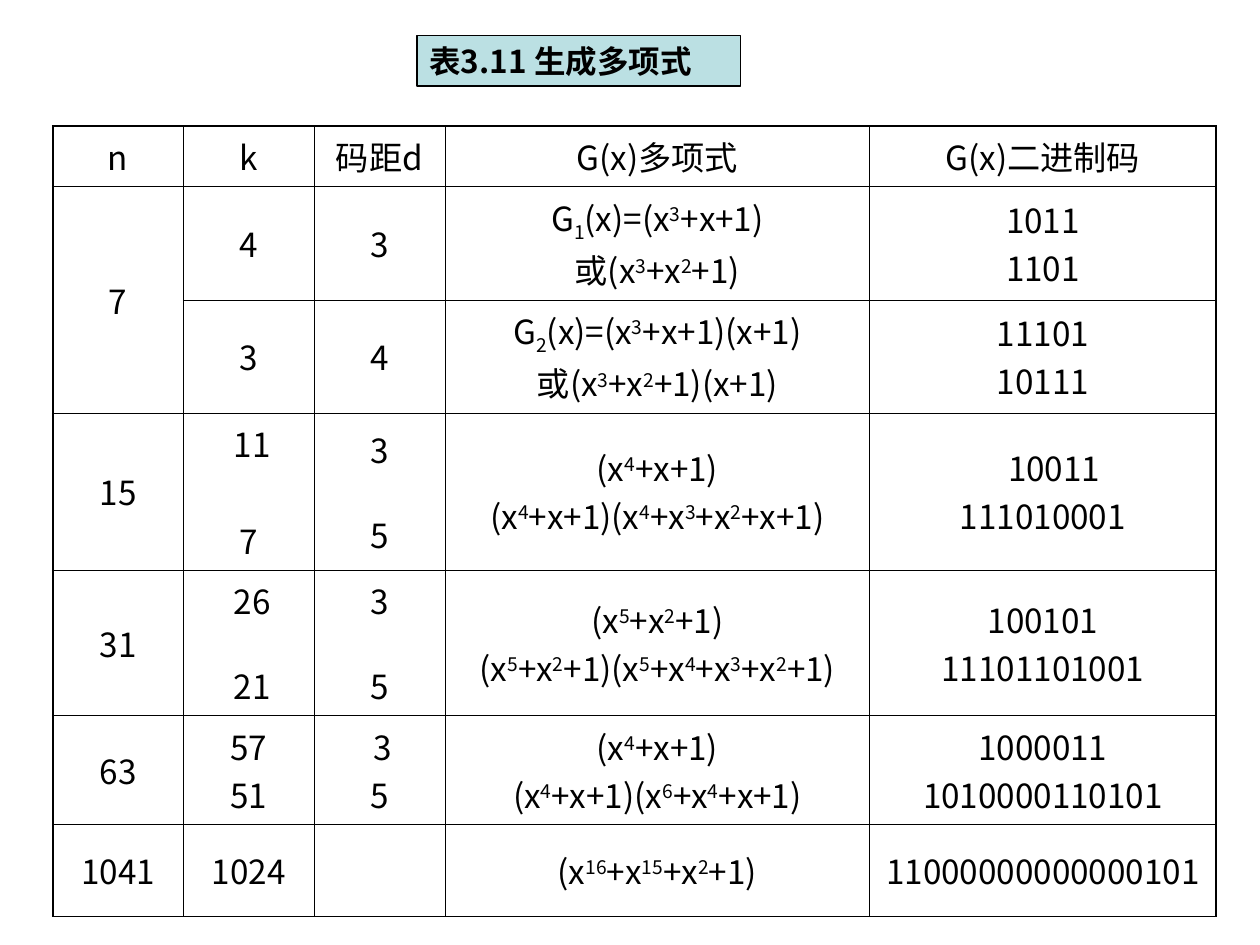
from itertools import groupby

from lxml.etree import SubElement
from pptx import Presentation
from pptx.dml.color import RGBColor as RGB
from pptx.enum.shapes import MSO_SHAPE as SHAPE
from pptx.enum.text import MSO_ANCHOR as ANCHOR, PP_ALIGN as ALIGN
from pptx.oxml.ns import qn
from pptx.util import Pt

HUES = {"ink": "000000", "title": "BBE0E3"}
FONT = "Noto Sans CJK SC"
SUPS, SUBS = "⁰¹²³⁴⁵⁶⁷⁸⁹", "₀₁₂₃₄₅₆₇₈₉"
PLAIN = str.maketrans(SUPS + SUBS, "0123456789" * 2)


def write(frame, text, size=19, bold=False, align=ALIGN.CENTER, gap=0, shifts=()):
    """Fill a frame line by line; raised and lowered digits become real baselines."""
    for i, line in enumerate(text.split("\n")):
        para = frame.paragraphs[0] if i == 0 else frame.add_paragraph()
        para.alignment = align
        if i and gap:
            para.space_before = Pt(gap)
        if i < len(shifts):
            para._p.get_or_add_pPr().set("marL", str(Pt(shifts[i])))
        for level, chars in groupby(line, lambda c: 30 * (c in SUPS) - 25 * (c in SUBS)):
            run = para.add_run()
            run.text = "".join(chars).translate(PLAIN)
            font = run.font
            font.size, font.bold, font.name = Pt(size), bold, FONT
            font.color.rgb = RGB.from_string(HUES["ink"])
            if level:
                font._element.set("baseline", str(level * 1000))
            SubElement(font._element, qn("a:ea"), typeface=FONT)


def edge(cell, side, width):
    """Draw one border of a cell."""
    line = SubElement(cell._tc.get_or_add_tcPr(), qn("a:ln" + side), w=str(Pt(width)))
    fill = SubElement(line, qn("a:solidFill"))
    SubElement(fill, qn("a:srgbClr"), val=HUES["ink"])


deck = Presentation()
deck.slide_width, deck.slide_height = Pt(720), Pt(540)
slide = deck.slides.add_slide(deck.slide_layouts[6])

# Table content
DATA = [
    ["n", "k", "码距d", "G(x)多项式", "G(x)二进制码"],
    ["7", "4", "3", "G₁(x)=(x³+x+1)\n或(x³+x²+1)", "1011\n1101"],
    ["", "3", "4", "G₂(x)=(x³+x+1)(x+1)\n或(x³+x²+1)(x+1)", "11101\n10111"],
    ["15", "11\n7", "3\n5", "(x⁴+x+1)\n(x⁴+x+1)(x⁴+x³+x²+x+1)",
     "10011\n111010001"],
    ["31", "26\n21", "3\n5", "(x⁵+x²+1)\n(x⁵+x²+1)(x⁵+x⁴+x³+x²+1)",
     "100101\n11101101001"],
    ["63", "57\n51", "3\n5", "(x⁴+x+1)\n(x⁴+x+1)(x⁶+x⁴+x+1)",
     "1000011\n1010000110101"],
    ["1041", "1024", "", "(x¹⁶+x¹⁵+x²+1)", "11000000000000101"],
]
COLS = [74.6, 74.6, 74.9, 242.8, 197.8]
ROWS = [29.5, 55.4, 55.4, 85, 75, 52.6, 52.6]

# Space between the two lines, and left indents of lines, by row and column
GAPS = {(3, 1): 27.5, (3, 2): 21, (4, 1): 21, (4, 2): 21}
SHIFTS = {(3, 1): [4.3], (3, 4): [12.8], (4, 1): [4.3, 4.3], (5, 2): [4.3]}

# Table
frame = slide.shapes.add_table(len(ROWS), len(COLS), Pt(30.2), Pt(72),
                               Pt(sum(COLS)), Pt(sum(ROWS)))
table = frame.table
table.first_row = table.horz_banding = False
for col, width in zip(table.columns, COLS):
    col.width = Pt(width)
for row, height in zip(table.rows, ROWS):
    row.height = Pt(height)
table.cell(1, 0).merge(table.cell(2, 0))

for r, line in enumerate(DATA):
    for c, text in enumerate(line):
        cell = table.cell(r, c)
        outer = {"L": c == 0, "R": c == len(COLS) - 1,
                 "T": r == 0, "B": r == len(ROWS) - 1}
        for side, thick in outer.items():
            edge(cell, side, 1.08 if thick else 0.45)
        cell.fill.background()
        cell.vertical_anchor = ANCHOR.MIDDLE
        write(cell.text_frame, text, gap=GAPS.get((r, c), 0),
              shifts=SHIFTS.get((r, c), ()))

# Title
title = slide.shapes.add_shape(SHAPE.RECTANGLE, Pt(238.3), Pt(20.4), Pt(185), Pt(28.8))
title.shadow.inherit = False
title.fill.solid()
title.fill.fore_color.rgb = RGB.from_string(HUES["title"])
title.line.color.rgb = RGB.from_string(HUES["ink"])
title.line.width = Pt(0.75)
title.text_frame.word_wrap = True
title.text_frame.vertical_anchor = ANCHOR.MIDDLE
write(title.text_frame, "表3.11 生成多项式", size=18, bold=True, align=ALIGN.LEFT)

deck.save("out.pptx")
